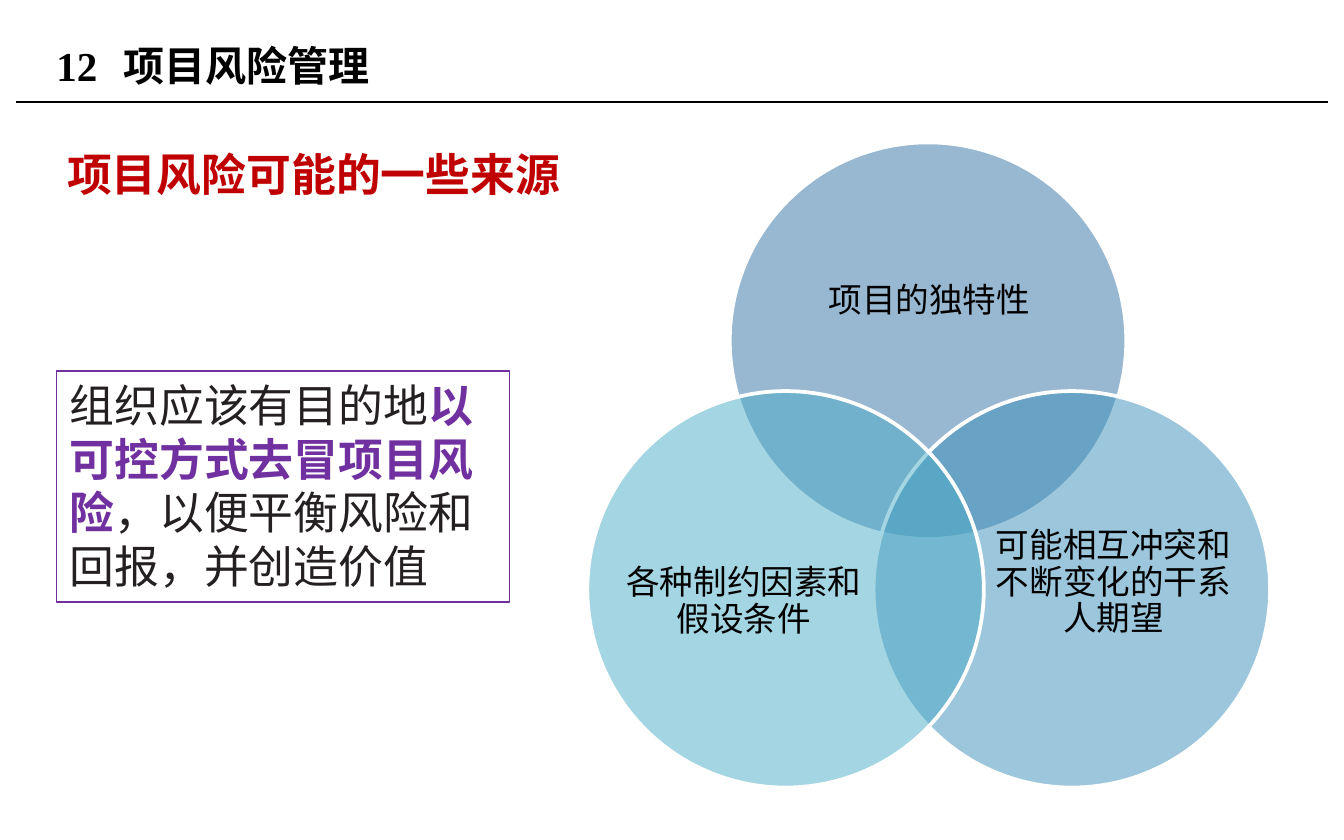
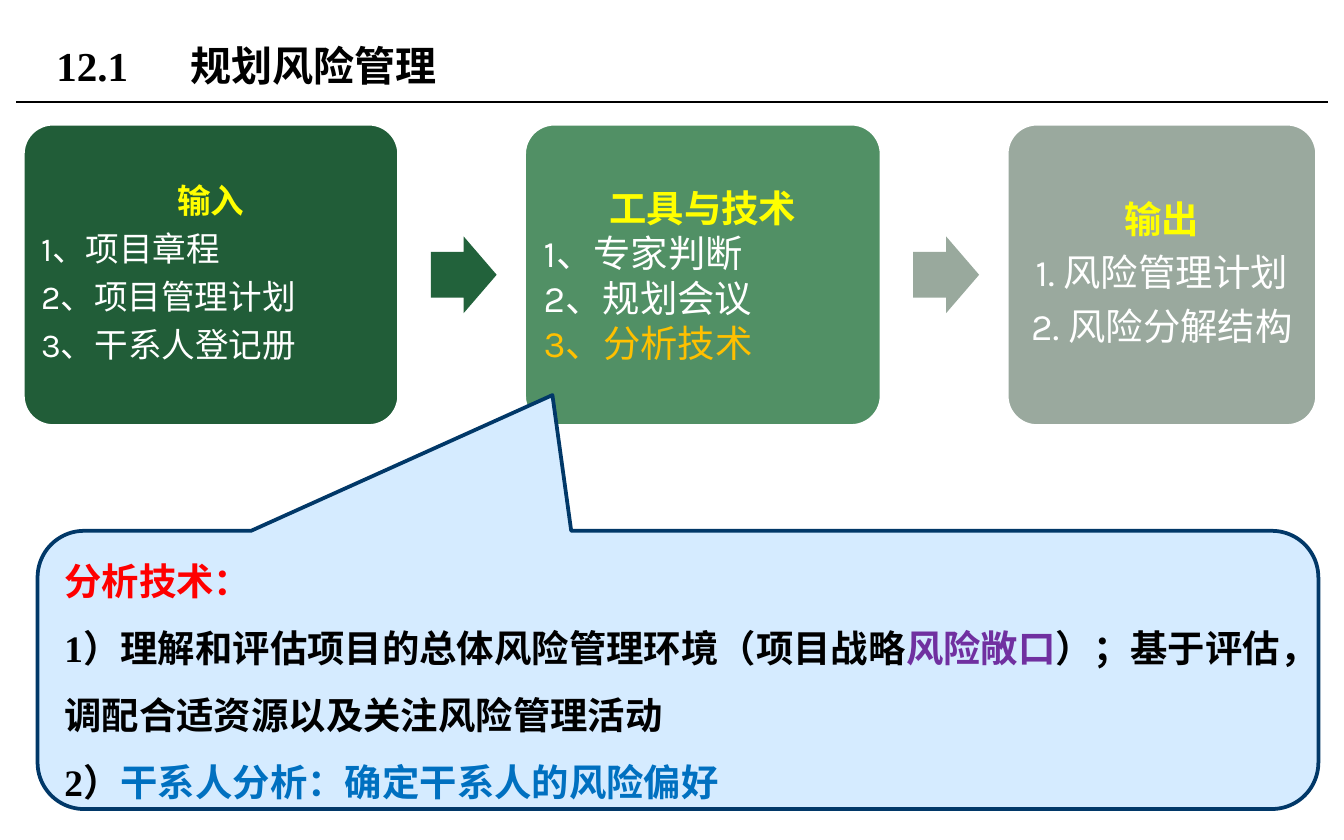
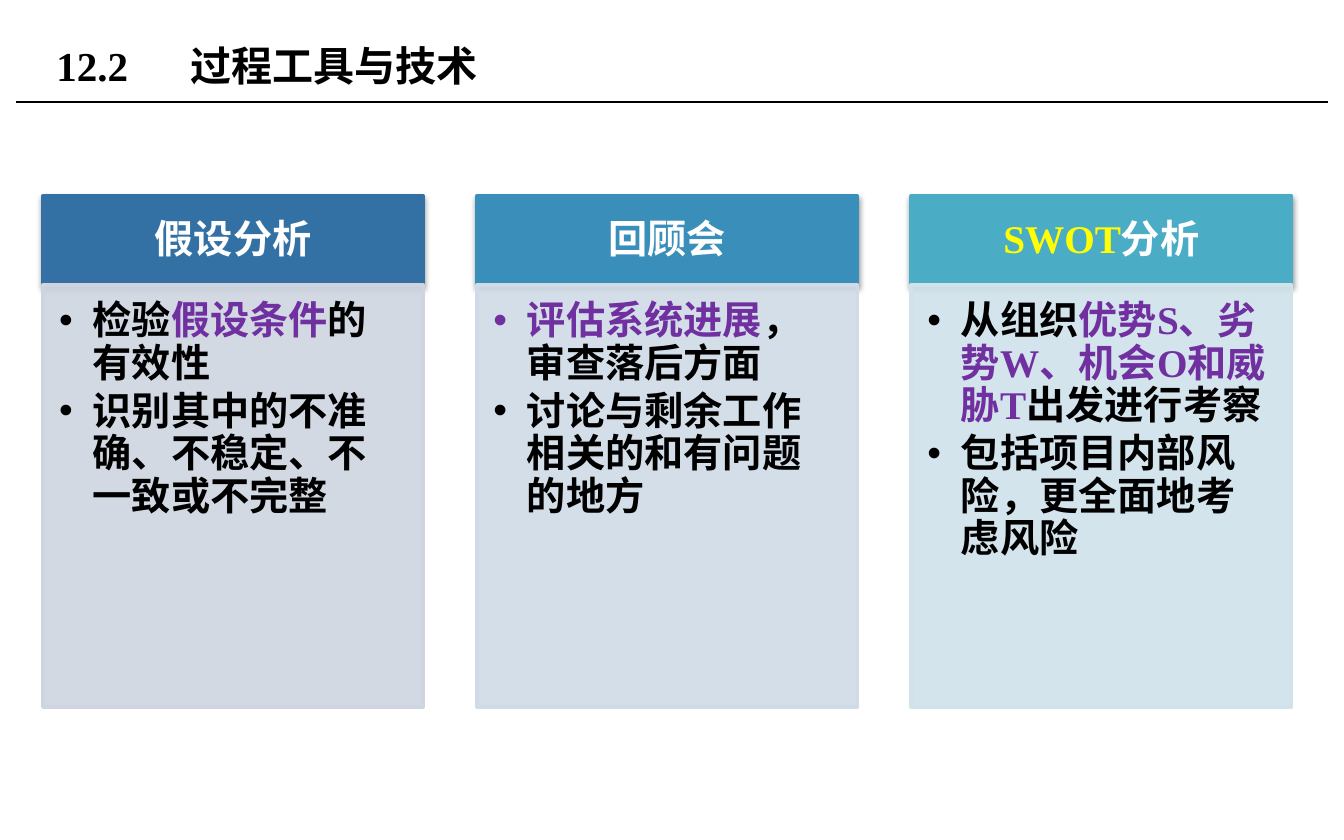
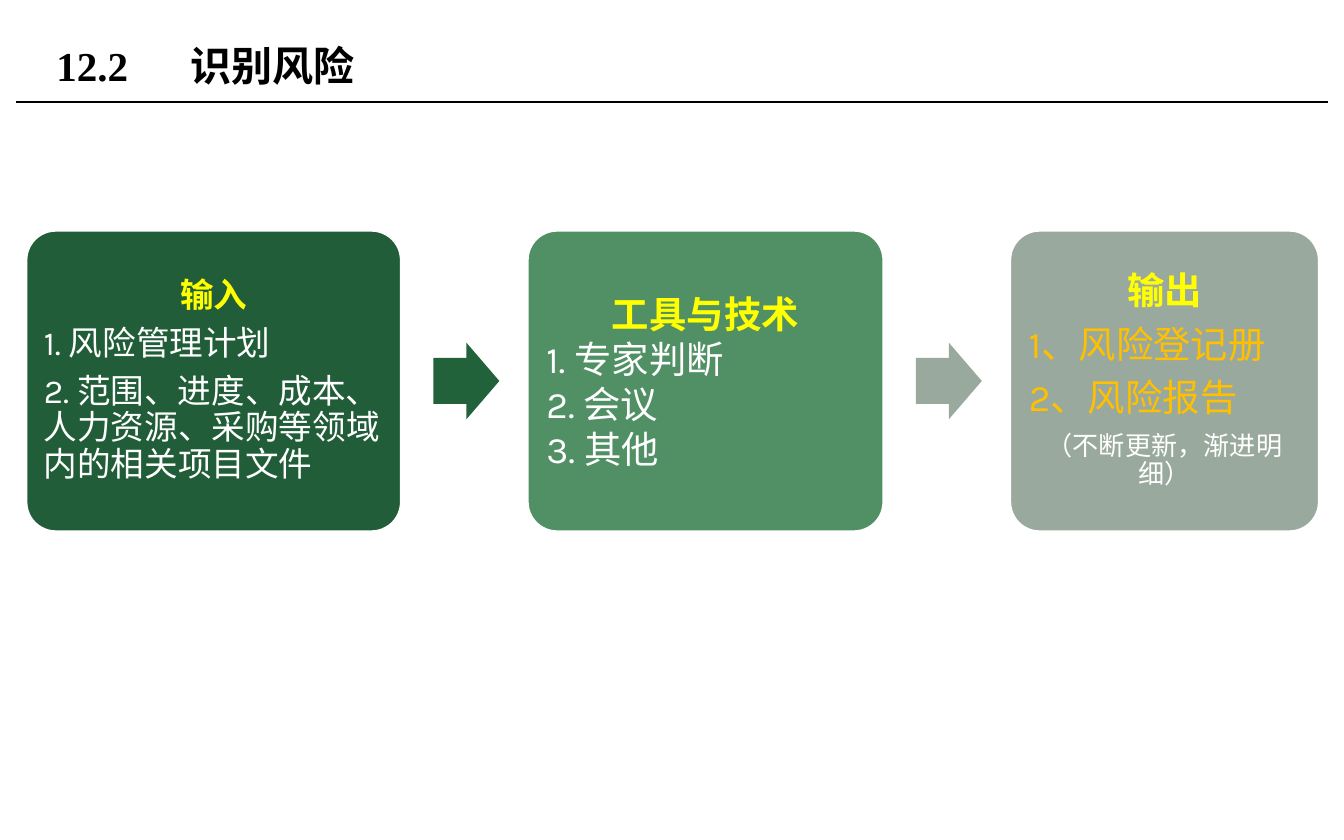
import pptx
import pptx.util
import pptx.dml.color
import pptx.enum.shapes
import pptx.enum.text
import pptx.oxml.ns
from lxml import etree

RGBColor = pptx.dml.color.RGBColor
Shape = pptx.enum.shapes.MSO_SHAPE
Align = pptx.enum.text.PP_ALIGN
Anchor = pptx.enum.text.MSO_ANCHOR
Pt = pptx.util.Pt
Inches = pptx.util.Inches
qn = pptx.oxml.ns.qn

BLACK = RGBColor(0x00, 0x00, 0x00)
WHITE = RGBColor(0xFF, 0xFF, 0xFF)
INK = RGBColor(0x24, 0x20, 0x21)
CRIMSON = RGBColor(0xC0, 0x00, 0x00)
RED = RGBColor(0xFF, 0x00, 0x00)
PURPLE = RGBColor(0x70, 0x30, 0xA0)
YELLOW = RGBColor(0xFF, 0xFF, 0x00)
AMBER = RGBColor(0xFF, 0xC0, 0x00)
AZURE = RGBColor(0x00, 0x70, 0xC0)
NAVY = RGBColor(0x01, 0x38, 0x68)
PALE = RGBColor(0xD5, 0xEB, 0xFF)
BLUE = RGBColor(0x33, 0x71, 0xA4)
SKY = RGBColor(0x3A, 0x8F, 0xBA)
TEAL = RGBColor(0x4B, 0xAC, 0xC6)
MIST = RGBColor(0xCE, 0xD5, 0xE0)
HAZE = RGBColor(0xCF, 0xDB, 0xE6)
FOAM = RGBColor(0xD0, 0xE2, 0xEA)
FOREST = RGBColor(0x21, 0x5D, 0x38)
PINE = RGBColor(0x22, 0x62, 0x3B)
FERN = RGBColor(0x51, 0x90, 0x65)
SAGE = RGBColor(0x9A, 0xA9, 0x9E)
ASH = RGBColor(0x99, 0xA9, 0x9D)

SERIF, SANS, HAN, ROBOTO = "Times New Roman", "Karla", "Noto Sans CJK SC", "Roboto"
CELL = 0.1  # the grid: 100 columns by 62.5 rows of square cells
TIGHT = dict(lead=0.9, gap=0.35)
MID = Align.CENTER


def cells(*nums):
    return [Inches(n * CELL) for n in nums]


def para(*runs, **look):
    """A paragraph: runs of (text, colour[, look]) and its own look."""
    return runs, look


class Deck:
    def __init__(self):
        self.prs = pptx.Presentation()
        self.prs.slide_width, self.prs.slide_height = cells(100, 62.5)
        self.slide = None

    # Text
    def put(self, frame, paras, pad=(1, 0.5, 1, 0.5), anchor=Anchor.TOP, **base):
        frame.word_wrap = True
        frame.auto_size = pptx.enum.text.MSO_AUTO_SIZE.NONE
        frame.vertical_anchor = anchor
        (frame.margin_left, frame.margin_top,
         frame.margin_right, frame.margin_bottom) = cells(*pad)
        for i, (runs, own) in enumerate(paras):
            item = frame.add_paragraph() if i else frame.paragraphs[0]
            look = {**base, **own}
            self.align(item, **look)
            for text, color, *more in runs:
                run = item.add_run()
                run.text = text
                self.style(run, color, {**look, **(more[0] if more else {})})

    def align(self, item, size, align=Align.LEFT, lead=1.0, gap=0,
              dot=False, tab=None, **rest):
        item.alignment = align
        item.line_spacing = lead
        item.space_before = Pt(0)
        item.space_after = Pt(size * gap)
        props = item._p.get_or_add_pPr()
        hang = Inches(0.25) if dot else 0
        props.set("marL", str(hang))
        props.set("indent", str(-hang))
        if dot:
            etree.SubElement(props, qn("a:buChar"), char="•")
        else:
            etree.SubElement(props, qn("a:buNone"))
        if tab:
            stops = etree.SubElement(props, qn("a:tabLst"))
            etree.SubElement(stops, qn("a:tab"), pos=str(Inches(tab)), algn="l")

    def style(self, run, color, look):
        font = run.font
        font.size = Pt(look["size"])
        font.bold = look.get("bold", False)
        font.name = look["face"]
        font.color.rgb = color
        etree.SubElement(run._r.get_or_add_rPr(), qn("a:ea"), typeface=HAN)

    # Slide with its title and rule
    def page(self, kind, num, name, wide=63.8):
        self.slide = self.prs.slides.add_slide(self.prs.slide_layouts[kind])
        title = self.place(self.slide.shapes.title, 3.2, 1.3, wide, 7.1)
        dots = num.count(".")
        tab = 0.23 + 0.15 * (len(num) - dots) + 0.08 * dots
        self.put(title.text_frame, [para((num + "\t" + name, BLACK))],
                 anchor=Anchor.MIDDLE, size=22, face=SERIF, bold=True, tab=tab)
        rule = self.slide.shapes.add_connector(
            pptx.enum.shapes.MSO_CONNECTOR.STRAIGHT, *cells(1.2, 7.6, 98.8, 7.6))
        rule.line.color.rgb = BLACK
        rule.line.width = Pt(0.75)
        etree.SubElement(rule.element.spPr, qn("a:effectLst"))

    def place(self, item, *at):
        item.left, item.top, item.width, item.height = cells(*at)
        return item

    def bodies(self):
        return [p for p in self.slide.placeholders if p.placeholder_format.idx]

    # Shapes
    def paint(self, item, fill=None, edge=None, thick=2, solid=100):
        if fill is None:
            item.fill.background()
        else:
            item.fill.solid()
            item.fill.fore_color.rgb = fill
        if solid < 100:
            tint = next(item.element.spPr.iter(qn("a:srgbClr")))
            etree.SubElement(tint, qn("a:alpha"), val=str(solid * 1000))
        if edge is None:
            item.line.fill.background()
        else:
            item.line.color.rgb = edge
            item.line.width = Pt(thick)

    def shape(self, kind, at, fill=None, edge=None, adj=(), **look):
        item = self.slide.shapes.add_shape(kind, *cells(*at))
        item.shadow.inherit = False
        for i, val in enumerate(adj):
            item.adjustments[i] = val
        self.paint(item, fill, edge, **look)
        return item

    def label(self, at, paras, **look):
        box = self.slide.shapes.add_textbox(*cells(*at))
        self.put(box.text_frame, paras, **look)

    def shade(self, item):
        glow = etree.SubElement(item.element.spPr.find(qn("a:effectLst")),
                                qn("a:outerShdw"), blurRad=str(Pt(3.1)),
                                dist=str(Pt(1.6)), dir="5400000", rotWithShape="0")
        tint = etree.SubElement(glow, qn("a:srgbClr"), val=str(BLACK))
        etree.SubElement(tint, qn("a:alpha"), val="38000")

    # Three cards joined by arrows
    def flow(self, left, top, texts):
        high, gap, wide, tall = 22.5, 9.3, 4.9, 5.7
        cards = [(28, FOREST, PINE, 0.7, dict(size=18, **TIGHT)),
                 (26.6, FERN, ASH, 0.8, dict(size=20)),
                 (23.1, SAGE, None, 0.8, dict(size=20, **TIGHT))]
        for (width, fill, tip, pad, look), paras in zip(cards, texts):
            card = self.shape(Shape.ROUNDED_RECTANGLE, (left, top, width, high),
                              fill, WHITE, adj=[0.1])
            self.put(card.text_frame, paras, pad=[pad] * 4,
                     anchor=Anchor.MIDDLE, face=SANS, **look)
            left += width
            if tip:
                self.shape(Shape.RIGHT_ARROW,
                           (left + 2.35, top + (high - tall) / 2, wide, tall),
                           tip, adj=[0.6, 0.5])
            left += gap

    # Header over a bulleted list
    def panel(self, body, at, cap, paras, dark, light):
        left, top, width, high = at
        rise = 6.6
        band = self.shape(Shape.RECTANGLE, (left, top, width, rise), dark, dark)
        self.shade(band)
        self.put(band.text_frame, [cap], pad=(1.6, 0.9, 1.6, 0.9), align=MID,
                 anchor=Anchor.MIDDLE, size=21, face=SERIF, bold=True, **TIGHT)
        self.place(body, left, top + rise, width, high - rise)
        self.paint(body, light, light, solid=90)
        self.put(body.text_frame, paras, pad=(1.2, 1.2, 1.6, 1.8), size=21,
                 face=SERIF, bold=True, lead=0.9, gap=0.15, dot=True)
        self.slide.shapes.element.append(body.element)  # in front of the band


def head(text):
    return para((text, YELLOW), align=MID, bold=True)


def plain(*texts, color=WHITE, **look):
    return [para((text, color), **look) for text in texts]


def sources(deck):
    deck.page(1, "12", "项目风险管理")
    body = deck.place(deck.bodies()[0], 4, 8.4, 91.7, 39)
    deck.put(body.text_frame, plain("项目风险可能的一些来源", color=CRIMSON),
             size=24, face=HAN, bold=True, lead=1.5)

    # Venn circles
    size = 29.5
    rings = [
        (54.3, 10.6, BLUE, "项目的独特性", (58.3, 15.8, 21.7, 13.3), 0),
        (65, 29.1, SKY, "可能相互冲突和不断变化的干系人期望",
         (74, 36.7, 17.7, 16.2), 2.8),
        (43.7, 29.1, TEAL, "各种制约因素和假设条件", (46.5, 36.7, 17.7, 16.2), 0),
    ]
    for left, top, fill, text, at, foot in rings:
        deck.shape(Shape.OVAL, (left, top, size, size), fill, WHITE, solid=50)
        deck.label(at, plain(text, color=BLACK), pad=(0, 0, 0, foot), align=MID,
                   anchor=Anchor.MIDDLE, size=18, face=SANS, **TIGHT)

    # Framed note
    note = deck.shape(Shape.RECTANGLE, (4.2, 27.6, 33.7, 17.2), None, PURPLE,
                      thick=0.75)
    deck.put(note.text_frame, [para(
        ("组织应该有目的地", INK),
        ("以可控方式去冒项目风险", PURPLE, dict(bold=True)),
        ("，以便平衡风险和回报，并创造价值", INK))], size=24, face=ROBOTO)


def planning(deck):
    deck.page(5, "12.1", "规划风险管理")
    deck.flow(1.7, 9.2, [
        [head("输入"), *plain("1、项目章程", "2、项目管理计划", "3、干系人登记册")],
        [head("工具与技术"), *plain("1、专家判断"),
         para(("2、", WHITE), ("规划会议", WHITE, dict(face=SERIF))),
         para(("3、", AMBER), ("分析技术", AMBER, dict(face=HAN)))],
        [head("输出"), *plain("1. 风险管理计划", "2. 风险分解结构", align=MID)],
    ])

    # Callout on the third technique
    call = deck.shape(Shape.ROUNDED_RECTANGULAR_CALLOUT, (2.8, 39.5, 95.3, 20.7),
                      PALE, NAVY, adj=[-0.098, -0.988, 0.167])
    deck.put(call.text_frame, [
        para(("分析技术：", RED)),
        para(("1）理解和评估项目的总体风险管理环境（项目战略", BLACK),
             ("风险敞口", PURPLE),
             ("）；基于评估，调配合适资源以及关注风险管理活动", BLACK)),
        para(("2）", BLACK), ("干系人分析：确定干系人的风险偏好", AZURE)),
    ], anchor=Anchor.MIDDLE, size=20, face=SERIF, bold=True, lead=1.5)


def tools(deck):
    deck.page(4, "12.2", "过程工具与技术", wide=72.8)
    panels = [
        (para(("假设分析", WHITE)), BLUE, MIST,
         [para(("检验", BLACK), ("假设条件", PURPLE), ("的有效性", BLACK)),
          para(("识别其中的不准确、不稳定、不一致或不完整", BLACK))]),
        (para(("回顾会", WHITE)), SKY, HAZE,
         [para(("评估系统进展", PURPLE), ("，审查落后方面", BLACK)),
          para(("讨论与剩余工作相关的和有问题的地方", BLACK))]),
        (para(("SWOT", YELLOW), ("分析", WHITE)), TEAL, FOAM,
         [para(("从组织", BLACK), ("优势S、劣势W、机会O和威胁T", PURPLE),
               ("出发进行考察", BLACK)),
          para(("包括项目内部风险，更全面地考虑风险", BLACK))]),
    ]
    *used, spare = deck.bodies()
    spare.element.getparent().remove(spare.element)
    for i, (body, (cap, dark, light, paras)) in enumerate(zip(used, panels)):
        deck.panel(body, (3.2 + 32.3 * i, 14.6, 28.3, 38), cap, paras, dark, light)


def finding(deck):
    deck.page(5, "12.2", "识别风险")
    deck.flow(1.9, 17.1, [
        [head("输入"), *plain("1. 风险管理计划",
                            "2. 范围、进度、成本、人力资源、采购等领域内的相关项目文件")],
        [head("工具与技术"), *plain("1. 专家判断", "2. 会议", "3. 其他")],
        [head("输出"), *plain("1、风险登记册", "2、风险报告", color=AMBER),
         *plain("（不断更新，渐进明细）", align=MID, size=14)],
    ])


def main():
    deck = Deck()
    for draw in (sources, planning, tools, finding):
        draw(deck)
    deck.prs.save("out.pptx")


if __name__ == "__main__":
    main()
